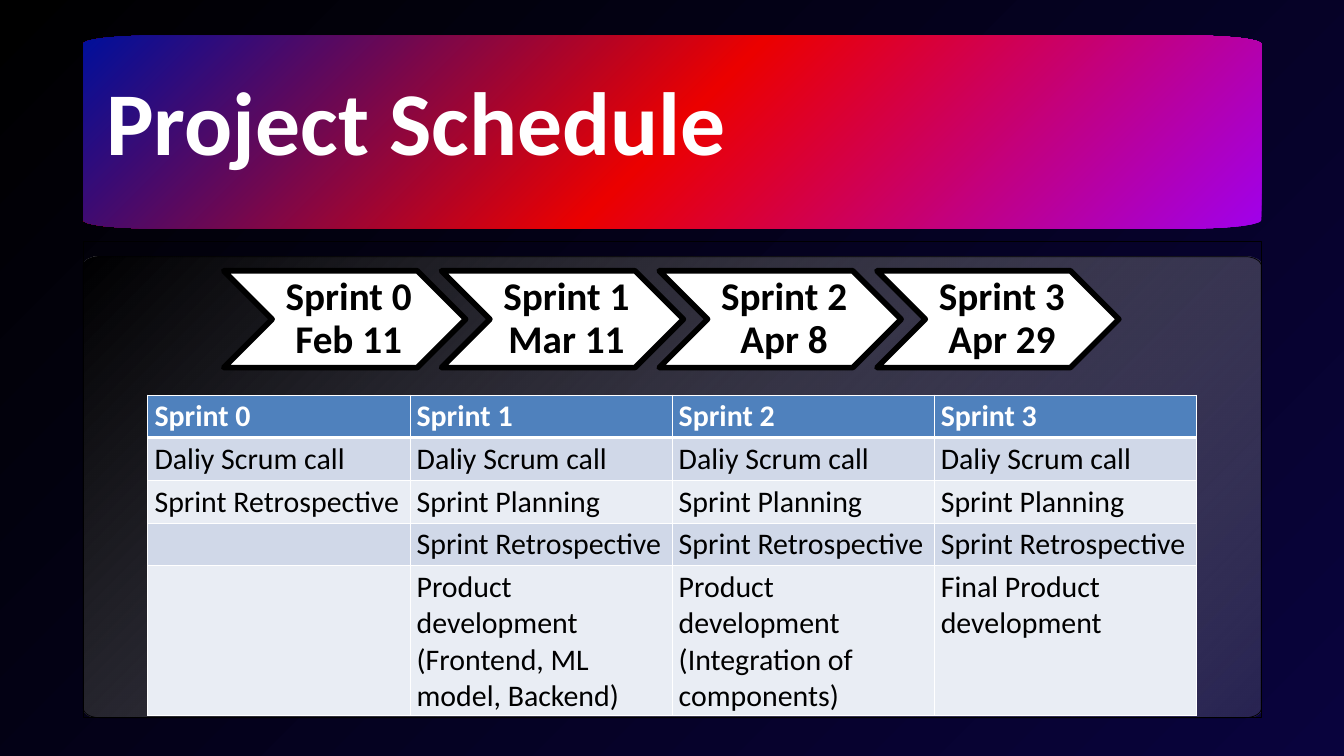
"""Build the Project Schedule slide: title band, sprint chevrons and task table."""
import math
from dataclasses import dataclass
from typing import Any, Optional

import lxml.etree
import pptx
import pptx.dml.color
import pptx.enum.shapes
import pptx.enum.text
import pptx.oxml.ns
import pptx.util

Pt = pptx.util.Pt
qn = pptx.oxml.ns.qn


@dataclass(frozen=True)
class Stop:
    """A gradient stop with position and opacity in percent."""
    pos: int
    color: str
    opacity: int = 100


@dataclass(frozen=True)
class Gradient:
    """Gradient stops, linear at an angle or spreading from the top left."""
    stops: tuple[Stop, ...]
    angle: Optional[int] = None


@dataclass(frozen=True)
class Theme:
    """Colours, fonts and type sizes of the slide."""
    font: str = "Calibri"
    light: str = "FFFFFF"
    dark: str = "000000"
    header: str = "4F81BD"
    bands: tuple[str, str] = ("D0D8E8", "E9EDF4")
    title_size: float = 96
    sprint_size: float = 42
    table_size: float = 32
    backdrop: Gradient = Gradient((Stop(0, "000000"), Stop(100, "09033D")))
    title_band: Gradient = Gradient((Stop(0, "000F9B"), Stop(50, "EB0000"), Stop(100, "A000EB")))
    body: Gradient = Gradient((Stop(0, "000000", 78), Stop(100, "DDDDDD", 15)), 45)


@dataclass(frozen=True)
class Box:
    """A rectangle in points."""
    left: float
    top: float
    width: float
    height: float

    def emu(self) -> tuple[int, ...]:
        """Return the rectangle as lengths for python-pptx."""
        return tuple(Pt(v) for v in (self.left, self.top, self.width, self.height))


@dataclass(frozen=True)
class Panel:
    """A gradient panel with elliptical corners."""
    box: Box
    rx: float
    ry: float
    gradient: Gradient
    line: Optional[str] = None


@dataclass(frozen=True)
class Sprint:
    """A sprint with its date and tasks."""
    name: str
    date: str
    tasks: tuple[str, ...]


THEME = Theme()
PANELS = (
    Panel(Box(89.28, 275.04, 1262.16, 493.92), 17.28, 10.08, THEME.body, THEME.dark),
    Panel(Box(89.28, 38.16, 1262.16, 206.64), 74.88, 9, THEME.title_band),
)
FRAME = Box(89.28, 258.48, 1262.16, 510.48)
TITLE = Box(113.76, 116.64, 833.76, 77.76)
FIRST_CHEVRON = Box(239.76, 290.16, 259.2, 103.68)
CHEVRON_PITCH = 233.28
TABLE = Box(158.4, 423.36, 1123.2, 147.6)
CALL, PLAN, RETRO = "Daliy Scrum call", "Sprint Planning", "Sprint Retrospective"
SPRINTS = (
    Sprint("Sprint 0", "Feb 11", (CALL, RETRO, "", "")),
    Sprint("Sprint 1", "Mar 11", (CALL, PLAN, RETRO, "Product development (Frontend, ML model, Backend)")),
    Sprint("Sprint 2", "Apr 8", (CALL, PLAN, RETRO, "Product development (Integration of components)")),
    Sprint("Sprint 3", "Apr 29", (CALL, PLAN, RETRO, "Final Product development")),
)


def rgb(color: str) -> Any:
    """Return a colour object for a hex string."""
    return pptx.dml.color.RGBColor.from_string(color)


def paint(fill: Any, root: Any, gradient: Gradient) -> None:
    """Give a fill the stops and direction of a gradient."""
    fill.gradient()
    grad = next(root.iter(qn("a:gradFill")))
    for child in list(grad):
        grad.remove(child)
    stops = lxml.etree.SubElement(grad, qn("a:gsLst"))
    for stop in gradient.stops:
        gs = lxml.etree.SubElement(stops, qn("a:gs"), pos=str(stop.pos * 1000))
        clr = lxml.etree.SubElement(gs, qn("a:srgbClr"), val=stop.color)
        if stop.opacity < 100:
            lxml.etree.SubElement(clr, qn("a:alpha"), val=str(stop.opacity * 1000))
    if gradient.angle is not None:
        lxml.etree.SubElement(grad, qn("a:lin"), ang=str(gradient.angle * 60000), scaled="0")
    else:
        spread = lxml.etree.SubElement(grad, qn("a:path"), {"path": "circle"})
        lxml.etree.SubElement(spread, qn("a:fillToRect"), r="100000", b="100000")


def set_line(sp: Any, color: Optional[str], width: float) -> None:
    """Outline a shape, or remove its outline, and drop its shadow."""
    sp.shadow.inherit = False
    if color is None:
        sp.line.fill.background()
    else:
        sp.line.color.rgb = rgb(color)
        sp.line.width = Pt(width)


def style_runs(p: Any, size: float, color: str, bold: bool) -> None:
    """Format every run of a paragraph."""
    for r in p.runs:
        r.font.name, r.font.size, r.font.bold = THEME.font, Pt(size), bold
        r.font.color.rgb = rgb(color)


def add_panel(s: Any, panel: Panel) -> None:
    """Draw a panel outline corner by corner."""
    b, steps = panel.box, 12
    corners = ((1, 0, -90), (1, 1, 0), (0, 1, 90), (0, 0, 180))
    points = []
    for right, bottom, start in corners:
        cx = b.left + (b.width - panel.rx if right else panel.rx)
        cy = b.top + (b.height - panel.ry if bottom else panel.ry)
        for i in range(steps + 1):
            a = math.radians(start + 90 * i / steps)
            points.append((Pt(cx + panel.rx * math.cos(a)), Pt(cy + panel.ry * math.sin(a))))
    builder = s.shapes.build_freeform(*points[0])
    builder.add_line_segments(points[1:], close=True)
    sp = builder.convert_to_shape()
    paint(sp.fill, sp._element.spPr, panel.gradient)
    set_line(sp, panel.line, 0.75)


def add_frame(s: Any, box: Box) -> None:
    """Draw the thin frame around the body."""
    sp = s.shapes.add_shape(pptx.enum.shapes.MSO_SHAPE.RECTANGLE, *box.emu())
    sp.fill.background()
    set_line(sp, THEME.dark, 0.75)


def add_title(s: Any, box: Box, text: str) -> None:
    """Write the slide title."""
    tf = s.shapes.add_textbox(*box.emu()).text_frame
    tf.margin_left = tf.margin_top = tf.margin_right = tf.margin_bottom = 0
    tf.word_wrap = True
    tf.auto_size = pptx.enum.text.MSO_AUTO_SIZE.SHAPE_TO_FIT_TEXT
    tf.text = text
    p = tf.paragraphs[0]
    p.alignment = pptx.enum.text.PP_ALIGN.JUSTIFY
    p.line_spacing = Pt(68.7)
    style_runs(p, THEME.title_size, THEME.light, True)


def add_chevron(s: Any, box: Box, sprint: Sprint) -> None:
    """Draw one sprint chevron with its label."""
    sp = s.shapes.add_shape(pptx.enum.shapes.MSO_SHAPE.CHEVRON, *box.emu())
    sp.fill.solid()
    sp.fill.fore_color.rgb = rgb(THEME.light)
    set_line(sp, THEME.dark, 6)
    tf = sp.text_frame
    tf.margin_left = Pt(12.96)
    tf.margin_top = tf.margin_right = tf.margin_bottom = Pt(4.32)
    tf.word_wrap = True
    tf.vertical_anchor = pptx.enum.text.MSO_ANCHOR.MIDDLE
    tf.text = f"{sprint.name} {sprint.date}"
    p = tf.paragraphs[0]
    p.alignment = pptx.enum.text.PP_ALIGN.CENTER
    p.line_spacing = 0.9
    style_runs(p, THEME.sprint_size, THEME.dark, True)


def fill_cell(cell: Any, row: int, text: str) -> None:
    """Write, border and colour one table cell."""
    cell.text = text
    style_runs(cell.text_frame.paragraphs[0], THEME.table_size, THEME.dark if row else THEME.light, row == 0)
    widths = {"lnL": 1, "lnR": 1, "lnT": 3 if row == 1 else 1, "lnB": 1 if row else 3}
    for side, width in widths.items():
        ln = lxml.etree.SubElement(cell._tc.get_or_add_tcPr(), qn(f"a:{side}"), w=str(Pt(width)))
        solid = lxml.etree.SubElement(ln, qn("a:solidFill"))
        lxml.etree.SubElement(solid, qn("a:srgbClr"), val=THEME.light)
    cell.fill.solid()
    cell.fill.fore_color.rgb = rgb(THEME.bands[(row - 1) % 2] if row else THEME.header)


def add_schedule(s: Any, box: Box, sprints: tuple[Sprint, ...]) -> None:
    """Add the table with one column of tasks per sprint."""
    rows = 1 + len(sprints[0].tasks)
    table = s.shapes.add_table(rows, len(sprints), *box.emu()).table
    for col, sprint in enumerate(sprints):
        for row, text in enumerate((sprint.name, *sprint.tasks)):
            fill_cell(table.cell(row, col), row, text)


def main() -> None:
    """Build and save the slide."""
    prs = pptx.Presentation()
    prs.slide_width, prs.slide_height = Pt(1440), Pt(810)
    s = prs.slides.add_slide(prs.slide_layouts[6])
    paint(s.background.fill, s._element, THEME.backdrop)
    add_panel(s, PANELS[0])
    add_frame(s, FRAME)
    add_panel(s, PANELS[1])
    add_title(s, TITLE, "Project Schedule")
    b = FIRST_CHEVRON
    for i, sprint in enumerate(SPRINTS):
        add_chevron(s, Box(b.left + i * CHEVRON_PITCH, b.top, b.width, b.height), sprint)
    add_schedule(s, TABLE, SPRINTS)
    prs.save("out.pptx")


if __name__ == "__main__":
    main()
